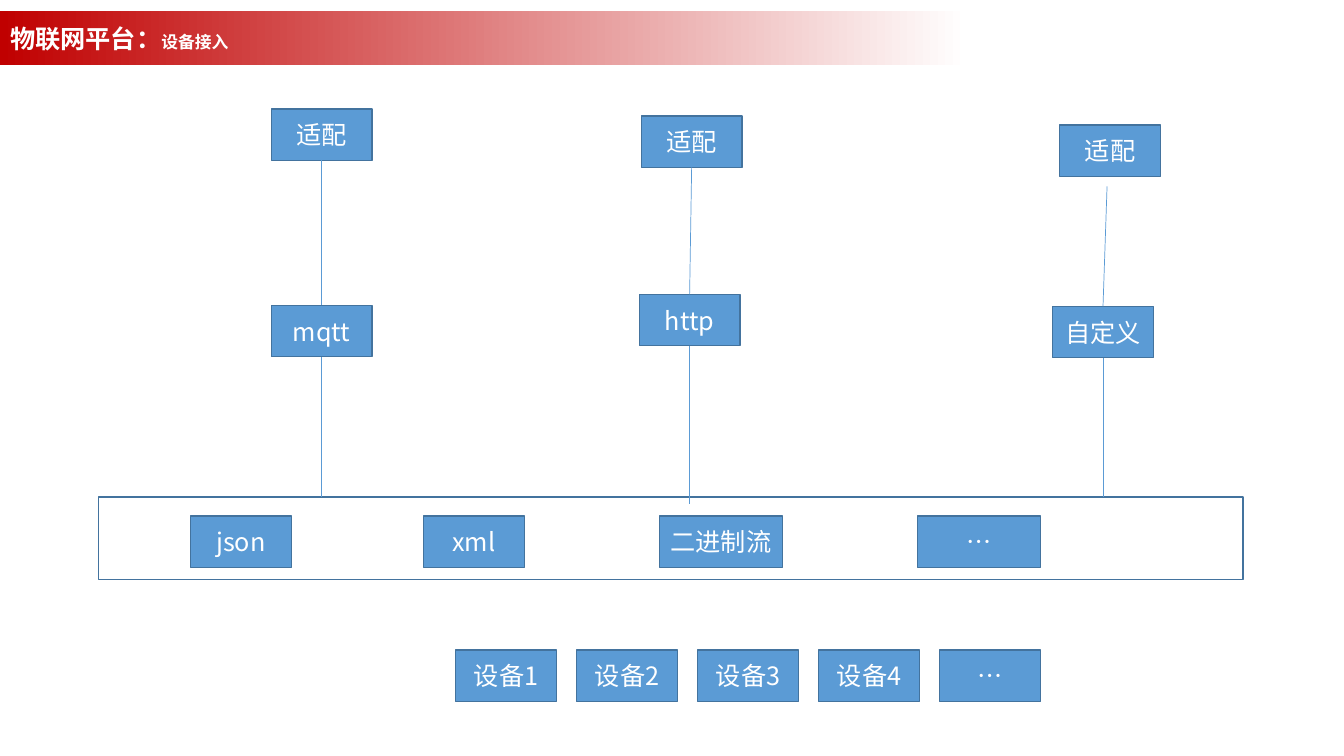
from pptx import Presentation
from pptx import util as u
from pptx.dml.color import RGBColor
from pptx.enum import shapes, text
from pptx.oxml.ns import qn
from lxml import etree

# Content
HEAD = [("物联网平台：", 18), ("设备接入", 12)]
# Protocol, its left and top, adapter's left and top, gap under adapter, end of lower line
LANES = [
    ("mqtt", 2.69, 3.03, 2.69, 1.08, 0, 4.93),
    ("http", 6.34, 2.92, 6.36, 1.15, 0, 5.0),
    ("自定义", 10.44, 3.04, 10.51, 1.24, 0.1, 4.93),
]
# Format, left, width
FORMATS = [("json", 1.89, 1), ("xml", 4.2, 1), ("二进制流", 6.54, 1.22), ("…", 9.1, 1.22)]
UNITS = ["设备1", "设备2", "设备3", "设备4", "…"]

# Style
FONT = "Noto Sans CJK SC"
RED, BLUE, EDGE, WHITE = "C00000", "5B9BD5", "43739E", "FFFFFF"
WIDE, HIGH = 1, 0.51
FRAME = (0.98, 4.93, 11.35, 0.82)
FORMAT_TOP, UNIT_TOP = 5.12, 6.45
UNIT_LEFT, UNIT_STEP = 4.52, 1.2

deck = Presentation()
deck.slide_width, deck.slide_height = u.Inches(13.33), u.Inches(7.5)
slide = deck.slides.add_slide(deck.slide_layouts[5])


def rgb(code):
    return RGBColor.from_string(code)


def style(run, size, bold=False):
    run.font.size, run.font.bold = u.Pt(size), bold
    run.font.color.rgb = rgb(WHITE)
    run.font.name = FONT
    etree.SubElement(run.font._element, qn("a:ea")).set("typeface", FONT)


def box(left, top, wide=WIDE, high=HIGH, label=None):
    rect = slide.shapes.add_shape(
        shapes.MSO_SHAPE.RECTANGLE, *map(u.Inches, (left, top, wide, high)))
    rect.shadow.inherit = False
    rect.line.color.rgb, rect.line.width = rgb(EDGE), u.Pt(1)
    if label is None:
        rect.fill.background()
        return
    rect.fill.solid()
    rect.fill.fore_color.rgb = rgb(BLUE)
    frame = rect.text_frame
    frame.text = label
    frame.vertical_anchor = text.MSO_ANCHOR.MIDDLE
    para = frame.paragraphs[0]
    para.alignment = text.PP_ALIGN.CENTER
    style(para.runs[0], 18)


def link(*ends):
    line = slide.shapes.add_connector(
        shapes.MSO_CONNECTOR.STRAIGHT, *map(u.Inches, ends))
    line.line.color.rgb, line.line.width = rgb(BLUE), u.Pt(0.5)
    etree.SubElement(line._element.spPr, qn("a:effectLst"))


# Title bar
title = slide.shapes.title
title.left, title.top, title.width, title.height = map(u.Inches, (0, 0.11, 9.6, 0.54))
title.fill.gradient()
title.fill.gradient_angle = 0
for stop, code, place in zip(title.fill.gradient_stops, (RED, WHITE), (0, 1)):
    stop.color.rgb, stop.position = rgb(code), place
frame = title.text_frame
frame.auto_size = text.MSO_AUTO_SIZE.NONE
frame.vertical_anchor = text.MSO_ANCHOR.MIDDLE
frame.paragraphs[0].alignment = text.PP_ALIGN.LEFT
for words, size in HEAD:
    run = frame.paragraphs[0].add_run()
    run.text = words
    style(run, size, True)

# Format row inside its frame
box(*FRAME)
for name, left, wide in FORMATS:
    box(left, FORMAT_TOP, wide, label=name)

# Device row
for i, name in enumerate(UNITS):
    box(UNIT_LEFT + i * UNIT_STEP, UNIT_TOP, label=name)

# Protocol lanes: adapter, protocol and the lines below each
for name, left, top, cap_left, cap_top, gap, end in LANES:
    box(cap_left, cap_top, label="适配")
    box(left, top, label=name)
    mid = left + WIDE / 2
    # A detached line starts a little left of the adapter's centre
    link(cap_left + WIDE / 2 - gap * 0.3, cap_top + HIGH + gap, mid, top)
    link(mid, top + HIGH, mid, end)

deck.save("out.pptx")
